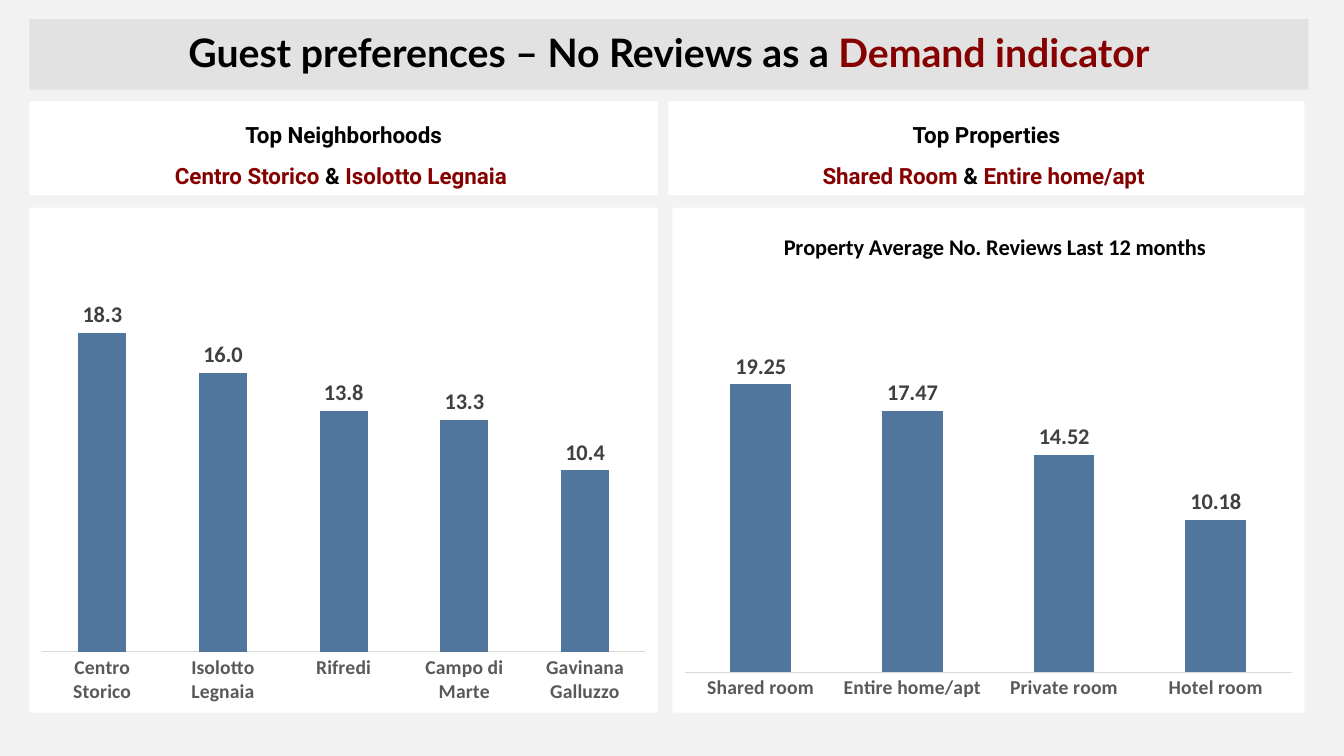
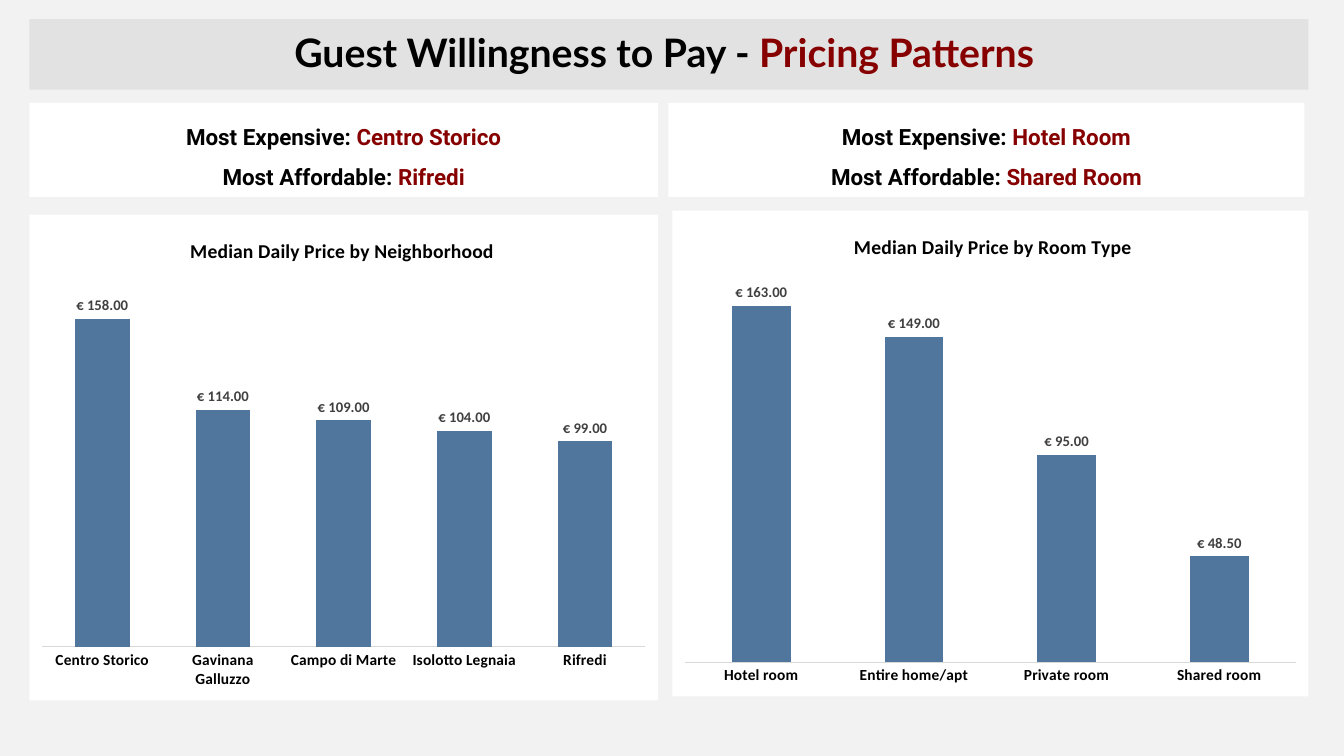
from lxml import etree
from pptx import Presentation
from pptx.chart.data import CategoryChartData
from pptx.dml.color import RGBColor
from pptx.enum.chart import XL_CHART_TYPE, XL_LABEL_POSITION, XL_TICK_MARK
from pptx.enum.shapes import MSO_SHAPE
from pptx.enum.text import MSO_ANCHOR, PP_ALIGN
from pptx.oxml import parse_xml
from pptx.oxml.ns import nsdecls, qn
from pptx.util import Pt

COLUMNS = XL_CHART_TYPE.COLUMN_CLUSTERED
OUTSIDE = XL_LABEL_POSITION.OUTSIDE_END
NO_TICK = XL_TICK_MARK.NONE
RECTANGLE = MSO_SHAPE.RECTANGLE
MIDDLE = MSO_ANCHOR.MIDDLE
CENTER = PP_ALIGN.CENTER

BLACK, WHITE, ACCENT = "000000", "FFFFFF", "860000"
PAGE_GREY, BAND_GREY, AXIS_GREY = "F2F2F2", "E2E2E2", "D9D9D9"
BAR_BLUE, LABEL_GREY, CATEGORY_GREY = "51769D", "404040", "595959"
EUROS = '"€ "#,##0.00'

LEFT, LEFT_WIDTH = 21, 449
RIGHT_CARD, RIGHT_CARD_WIDTH = 477.4, 454.4
RIGHT_CHART = 480.2


def color(value):
    return RGBColor.from_string(value)


def place_manually(parent, index, x, y, width=None, height=None):
    for old in parent.findall(qn("c:layout")):
        parent.remove(old)
    layout = etree.Element(qn("c:layout"))
    manual = etree.SubElement(layout, qn("c:manualLayout"))
    settings = [("xMode", "edge"), ("yMode", "edge"), ("x", x), ("y", y)]
    if width:
        settings = [("layoutTarget", "inner")] + settings + [("w", width), ("h", height)]
    for name, value in settings:
        etree.SubElement(manual, qn("c:" + name)).set("val", str(value))
    parent.insert(index, layout)


class Report:
    def __init__(self):
        self.deck = Presentation()
        self.deck.slide_width, self.deck.slide_height = Pt(960), Pt(540)
        self.page = None

    def new_page(self, title):
        self.page = self.deck.slides.add_slide(self.deck.slide_layouts[6])
        fill = self.page.background.fill
        fill.solid()
        fill.fore_color.rgb = color(PAGE_GREY)
        self.text_panel(LEFT, 13.7, 913.6, 50.4, BAND_GREY, [title], "Lato", 28, 0.9)

    def text_panel(self, left, top, width, height, fill, lines, font, size, spacing):
        box = self.page.shapes.add_shape(RECTANGLE, Pt(left), Pt(top), Pt(width), Pt(height))
        box.shadow.inherit = False
        box.fill.solid()
        box.fill.fore_color.rgb = color(fill)
        box.line.fill.background()
        frame = box.text_frame
        frame.word_wrap = True
        frame.vertical_anchor = MIDDLE
        for index, line in enumerate(lines):
            para = frame.add_paragraph() if index else frame.paragraphs[0]
            para.alignment = CENTER
            para.line_spacing = spacing
            for text, tint in line:
                span = para.add_run()
                span.text = text
                self.style(span.font, size, tint, font)

    def cards(self, top, left_lines, right_lines):
        for left, width, lines in (
            (LEFT, LEFT_WIDTH, left_lines),
            (RIGHT_CARD, RIGHT_CARD_WIDTH, right_lines),
        ):
            self.text_panel(left, top, width, 67, WHITE, lines, "Roboto", 16, 1.5)

    def style(self, font, size, tint, name="Calibri", bold=True):
        font.name, font.size, font.bold = name, Pt(size), bold
        font.color.rgb = color(tint)

    def bar_chart(self, area, values, plot, maximum, number_format, gap,
                  label_size, category_size, category_color, title=None):
        data = CategoryChartData()
        data.categories = list(values)
        data.add_series("Series 1", list(values.values()))
        chart = self.page.shapes.add_chart(COLUMNS, *(Pt(n) for n in area), data).chart
        self.style(chart.font, 10, BLACK, bold=False)
        chart.has_legend = False
        self.chart_title(chart, title)
        body = chart._chartSpace.chart
        body.addnext(parse_xml(
            f'<c:spPr {nsdecls("c", "a")}><a:solidFill><a:srgbClr val="{WHITE}"/>'
            "</a:solidFill><a:ln><a:noFill/></a:ln></c:spPr>"))
        top, height = plot
        place_manually(body.plotArea, 0, 0.02, top, 0.96, height)

        value_axis = chart.value_axis
        value_axis.minimum_scale, value_axis.maximum_scale = 0, maximum
        value_axis.has_major_gridlines = False
        value_axis.visible = False
        category_axis = chart.category_axis
        category_axis.major_tick_mark = NO_TICK
        category_axis.format.line.color.rgb = color(AXIS_GREY)
        category_axis.format.line.width = Pt(0.75)
        self.style(category_axis.tick_labels.font, category_size, category_color)

        bars = chart.plots[0]
        bars.gap_width = gap
        bars.vary_by_categories = False
        series_fill = bars.series[0].format.fill
        series_fill.solid()
        series_fill.fore_color.rgb = color(BAR_BLUE)
        bars.has_data_labels = True
        labels = bars.data_labels
        labels.show_value = True
        labels.position = OUTSIDE
        labels.number_format = number_format
        labels.number_format_is_linked = False
        self.style(labels.font, label_size, LABEL_GREY)

    def chart_title(self, chart, title):
        chart.has_title = title is not None
        if title:
            text, size, left = title
            para = chart.chart_title.text_frame.paragraphs[0]
            para.text = text
            self.style(para.runs[0].font, size, BLACK)
            place_manually(chart._chartSpace.chart.find(qn("c:title")), 1, left, 0.04)


def main():
    report = Report()
    review_style = dict(gap=150, label_size=16, category_size=14, category_color=CATEGORY_GREY)
    price_style = dict(maximum=180, number_format=EUROS, label_size=10.5,
                       category_size=11, category_color=BLACK)

    report.new_page([("Guest preferences – No Reviews as a ", BLACK), ("Demand indicator", ACCENT)])
    report.cards(
        72.4,
        [[("Top Neighborhoods", BLACK)],
         [("Centro Storico ", ACCENT), ("& ", BLACK), ("Isolotto Legnaia ", ACCENT)]],
        [[("Top Properties", BLACK)],
         [("Shared Room ", ACCENT), ("&", BLACK), (" Entire home/apt ", ACCENT)]],
    )
    report.bar_chart(
        (LEFT, 148.3, LEFT_WIDTH, 360.7),
        {"Centro Storico": 18.3, "Isolotto Legnaia": 16, "Rifredi": 13.8,
         "Campo di Marte": 13.3, "Gavinana Galluzzo": 10.4},
        plot=(0.12, 0.76), maximum=22, number_format="0.0", **review_style)
    report.bar_chart(
        (RIGHT_CHART, 148.3, 451.5, 360.7),
        {"Shared room": 19.25, "Entire home/apt": 17.47, "Private room": 14.52,
         "Hotel room": 10.18},
        plot=(0.18, 0.74), maximum=25, number_format="0.00",
        title=("Property Average No. Reviews Last 12 months", 16, 0.17), **review_style)

    report.new_page([("Guest Willingness to Pay - ", BLACK), ("Pricing Patterns ", ACCENT)])
    report.cards(73.6, *(
        [[("Most Expensive: ", BLACK), (expensive, ACCENT)],
         [("Most Affordable: ", BLACK), (affordable, ACCENT)]]
        for expensive, affordable in (("Centro Storico", "Rifredi"), ("Hotel Room", "Shared Room"))
    ))
    report.bar_chart(
        (RIGHT_CHART, 150.5, 454.4, 347),
        {"Hotel room": 163, "Entire home/apt": 149, "Private room": 95, "Shared room": 48.5},
        plot=(0.12, 0.81), gap=160,
        title=("Median Daily Price by Room Type", 14, 0.28), **price_style)
    report.bar_chart(
        (LEFT, 153.3, LEFT_WIDTH, 347),
        {"Centro Storico": 158, "Gavinana Galluzzo": 114, "Campo di Marte": 109,
         "Isolotto Legnaia": 104, "Rifredi": 99},
        plot=(0.12, 0.77), gap=120,
        title=("Median Daily Price by Neighborhood", 14, 0.25), **price_style)

    report.deck.save("out.pptx")


if __name__ == "__main__":
    main()
